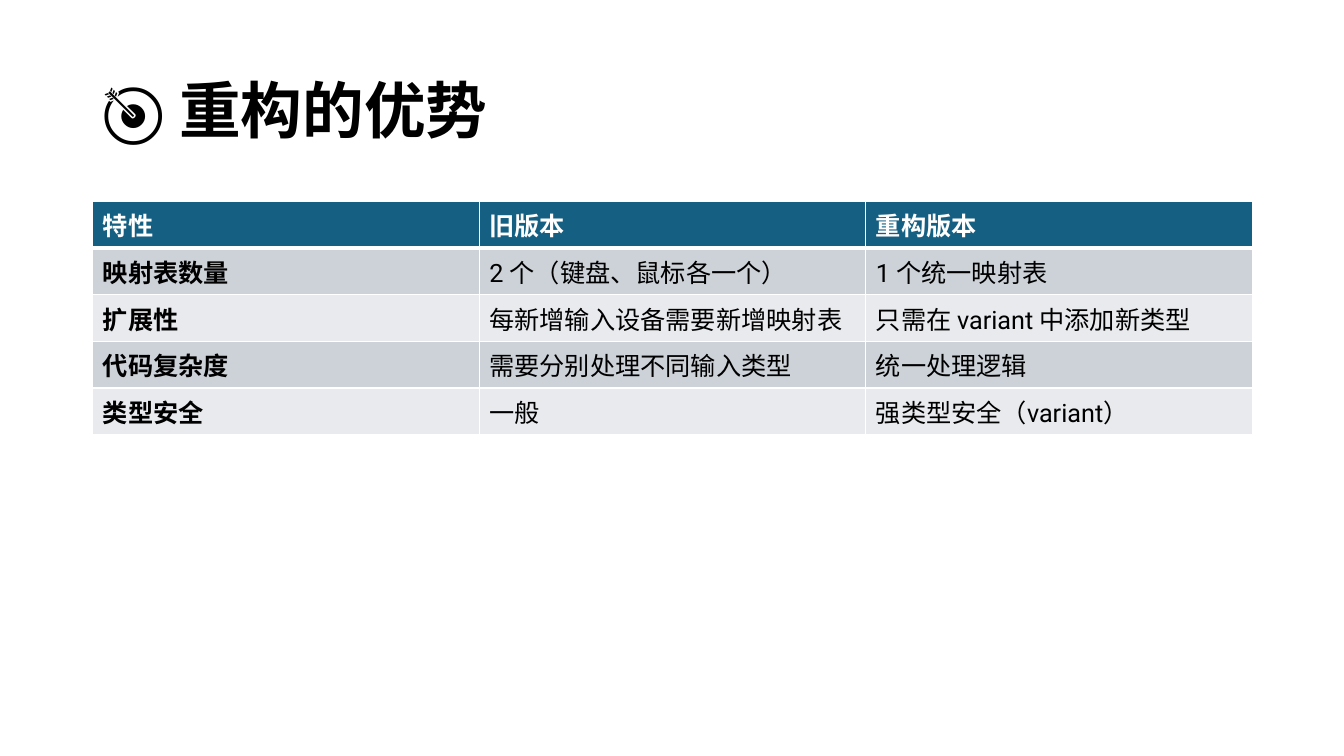
from lxml import etree
from pptx import Presentation
from pptx.dml.color import RGBColor
from pptx.enum.lang import MSO_LANGUAGE_ID as Language
from pptx.enum.text import MSO_ANCHOR as Anchor, PP_ALIGN as Align
from pptx.oxml.ns import qn
from pptx.util import Inches, Pt

COLORS = {
    "header": "156082",
    "odd row": "CCD2D8",
    "even row": "E8EAED",
    "white": "FFFFFF",
    "black": "000000",
}
ROWS = [
    ["特性", "旧版本", "重构版本"],
    ["映射表数量", "2 个（键盘、鼠标各一个）", "1 个统一映射表"],
    ["扩展性", "每新增输入设备需要新增映射表", "只需在 variant 中添加新类型"],
    ["代码复杂度", "需要分别处理不同输入类型", "统一处理逻辑"],
    ["类型安全", "一般", "强类型安全（variant）"],
]


def write(frame, text, size, color, bold):
    frame.vertical_anchor = Anchor.MIDDLE
    paragraph = frame.paragraphs[0]
    paragraph.alignment = Align.LEFT
    run = paragraph.add_run()
    run.text = text
    font_format = {
        "name": "Roboto",
        "size": Pt(size),
        "bold": bold,
        "language_id": Language.SIMPLIFIED_CHINESE,
    }
    for name, value in font_format.items():
        setattr(run.font, name, value)
    run.font.color.rgb = RGBColor.from_string(COLORS[color])
    return paragraph


def add_borders(cell, widths):
    """Draw white cell borders; widths maps a side tag to points."""
    properties = cell._tc.get_or_add_tcPr()
    for position, (side, width) in enumerate(widths.items()):
        line = etree.Element(qn(f"a:{side}"), w=str(Pt(width)))
        fill = etree.SubElement(line, qn("a:solidFill"))
        etree.SubElement(fill, qn("a:srgbClr"), val=COLORS["white"])
        properties.insert(position, line)


presentation = Presentation()
presentation.slide_width = Inches(13.33)
presentation.slide_height = Inches(7.5)
slide = presentation.slides.add_slide(presentation.slide_layouts[5])

title = slide.shapes.title
title.left, title.top = Inches(0.92), Inches(0.4)
title.width, title.height = Inches(11.5), Inches(1.45)
title_paragraph = write(title.text_frame, "🎯 重构的优势", 44, "black", True)
title_paragraph.line_spacing = 0.9

table = slide.shapes.add_table(
    len(ROWS), len(ROWS[0]), Inches(0.92), Inches(2), Inches(11.5), Inches(2.03)
).table

for row_index, row in enumerate(ROWS):
    is_header = row_index == 0
    if is_header:
        fill_color = "header"
    else:
        fill_color = "odd row" if row_index % 2 else "even row"
    for column_index, text in enumerate(row):
        cell = table.cell(row_index, column_index)
        cell.fill.solid()
        cell.fill.fore_color.rgb = RGBColor.from_string(COLORS[fill_color])
        cell.vertical_anchor = Anchor.MIDDLE
        write(
            cell.text_frame,
            text,
            18,
            "white" if is_header else "black",
            is_header or column_index == 0,
        )
        add_borders(cell, {
            "lnL": 1,
            "lnR": 1,
            "lnT": 3 if row_index == 1 else 1,
            "lnB": 3 if is_header else 1,
        })

presentation.save("out.pptx")
